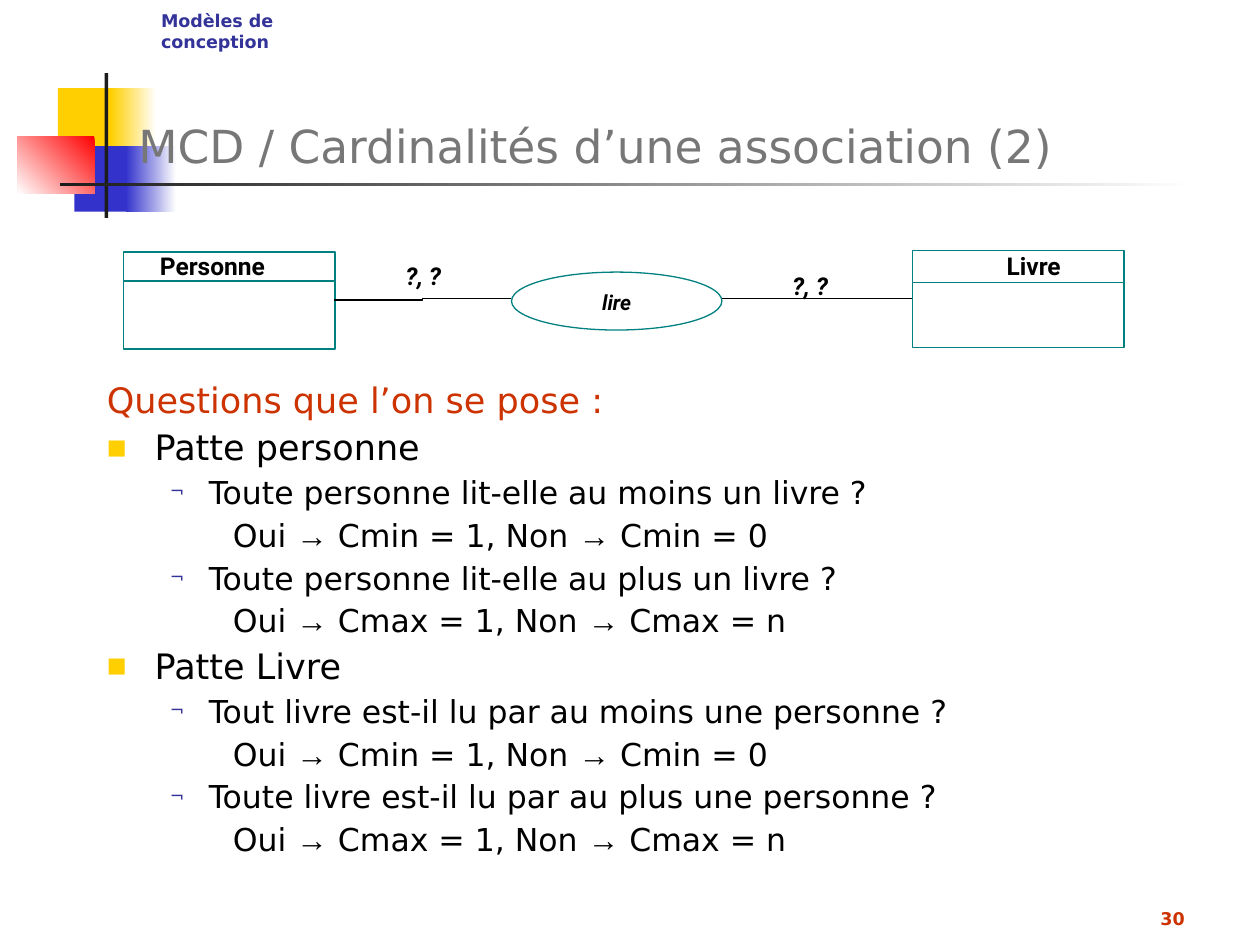
"""Build the slide on the cardinalities of an association in a conceptual data model."""
from lxml import etree
from pptx import Presentation
from pptx.dml.color import RGBColor
from pptx.enum.shapes import MSO_CONNECTOR, MSO_SHAPE
from pptx.enum.text import MSO_ANCHOR, PP_ALIGN
from pptx.oxml.ns import qn
from pptx.util import Inches, Pt

RECT, OVAL = MSO_SHAPE.RECTANGLE, MSO_SHAPE.OVAL
STRAIGHT, ELBOW = MSO_CONNECTOR.STRAIGHT, MSO_CONNECTOR.ELBOW
TOP, MIDDLE, BOTTOM = MSO_ANCHOR.TOP, MSO_ANCHOR.MIDDLE, MSO_ANCHOR.BOTTOM
LEFT, CENTER, RIGHT = PP_ALIGN.LEFT, PP_ALIGN.CENTER, PP_ALIGN.RIGHT
SANS, DIAGRAM, SYMBOL = "DejaVu Sans", "Roboto", "Arial"
BLACK, WHITE, TEAL, NAVY = "000000", "FFFFFF", "008080", "333399"
YELLOW, BLUE, RED, DARK, RUST = "FFCF01", "3333CC", "FF0000", "1C1C1C", "CC3300"

DECOR = [
    ((0.46, 0.7, 0.48, 0.52), [YELLOW], 0),
    ((0.88, 0.7, 0.36, 0.52), [WHITE, YELLOW], 180),
    ((0.59, 1.16, 0.46, 0.52), [BLUE], 0),
    ((1, 1.16, 0.4, 0.52), [WHITE, BLUE], 180),
    ((0.14, 1.08, 0.61, 0.46), [RED, WHITE], 225),
    ((0.83, 0.58, 0.03, 1.15), [DARK], 0),
    ((0.48, 1.45, 9, 0.03), [WHITE, DARK], 180),
]
ENTITIES = [
    ("Personne", (0.98, 2), 2.23, (1.17, 1.92, 1.11, 0.36)),
    ("Livre", (7.24, 1.99), 2.24, (7.89, 1.92, 0.68, 0.36)),
]
ENTITY_WIDTH, ENTITY_HEIGHT = 1.68, 0.77
LEGS = [
    (ELBOW, (4.06, 2.37), (2.65, 2.38)),
    (STRAIGHT, (5.73, 2.37), (7.24, 2.37)),
]
CARDINALITIES = [(3.12, 2.02), (6.19, 2.1)]
MINIMUM = "Oui → Cmin = 1, Non → Cmin = 0"
MAXIMUM = "Oui → Cmax = 1, Non → Cmax = n"
QUESTIONS = [
    ("heading", "Questions que l’on se pose :"),
    ("leg", "Patte personne"),
    ("question", "Toute personne lit-elle au moins un livre ?"),
    ("answer", MINIMUM),
    ("question", "Toute personne lit-elle au plus un livre ?"),
    ("answer", MAXIMUM),
    ("leg", "Patte Livre"),
    ("question", "Tout livre est-il lu par au moins une personne ?"),
    ("answer", MINIMUM),
    ("question", "Toute livre est-il lu par au plus une personne ?"),
    ("answer", MAXIMUM),
]
STYLES = {
    "heading": (0, 20, RUST, 0.38, -0.38, None),
    "leg": (0, 20, BLACK, 0.38, -0.38, ("■", YELLOW, 60)),
    "question": (1, 18, BLACK, 0.81, -0.31, ("¬", NAVY, 55)),
    "answer": (2, 18, BLACK, 1.25, -0.25, None),
}


def color(value):
    return RGBColor.from_string(value)


def inches(values):
    return [Inches(value) for value in values]


def add_run(paragraph, text, size, font, tint, bold=False, italic=False):
    run = paragraph.add_run()
    run.text = text
    run.font.size, run.font.name = Pt(size), font
    run.font.bold, run.font.italic = bold, italic
    run.font.color.rgb = color(tint)


def add_label(box, text, size, font, tint, bold=True, italic=False,
              align=LEFT, anchor=TOP, wrap=True, spacing=1.0):
    label = slide.shapes.add_textbox(*inches(box))
    label.text_frame.word_wrap = wrap
    label.text_frame.vertical_anchor = anchor
    paragraph = label.text_frame.paragraphs[0]
    paragraph.alignment, paragraph.line_spacing = align, spacing
    add_run(paragraph, text, size, font, tint, bold, italic)


def add_outline(kind, box):
    outline = slide.shapes.add_shape(kind, *inches(box))
    outline.shadow.inherit = False
    outline.fill.background()
    outline.line.color.rgb, outline.line.width = color(TEAL), Pt(0.75)
    return outline


def add_decor(box, tints, angle):
    block = slide.shapes.add_shape(RECT, *inches(box))
    block.shadow.inherit = False
    block.line.fill.background()
    if len(tints) == 1:
        block.fill.solid()
        block.fill.fore_color.rgb = color(tints[0])
        return
    block.fill.gradient()
    block.fill.gradient_angle = angle
    for stop, tint in zip(block.fill.gradient_stops, tints):
        stop.color.rgb = color(tint)


def add_line(kind, start, end, tint):
    line = slide.shapes.add_connector(kind, *inches(start + end))
    line.line.color.rgb, line.line.width = color(tint), Pt(0.75)
    etree.SubElement(line._element.spPr, qn("a:effectLst"))


def set_indent(paragraph, margin, indent, bullet):
    properties = paragraph._p.get_or_add_pPr()
    properties.set("marL", str(Inches(margin)))
    properties.set("indent", str(Inches(indent)))
    if bullet is None:
        etree.SubElement(properties, qn("a:buNone"))
        return
    symbol, tint, percent = bullet
    bullet_color = etree.SubElement(properties, qn("a:buClr"))
    etree.SubElement(bullet_color, qn("a:srgbClr"), val=tint)
    etree.SubElement(properties, qn("a:buSzPct"), val=str(percent * 1000))
    etree.SubElement(properties, qn("a:buFont"), typeface=SANS)
    etree.SubElement(properties, qn("a:buChar"), char=symbol)


def add_questions(box):
    frame = slide.shapes.add_textbox(*inches(box)).text_frame
    frame.word_wrap = True
    for index, (style, text) in enumerate(QUESTIONS):
        level, size, tint, margin, indent, bullet = STYLES[style]
        paragraph = frame.add_paragraph() if index else frame.paragraphs[0]
        paragraph.level, paragraph.line_spacing = level, 1.1
        paragraph.space_before = Pt(0.75)
        set_indent(paragraph, margin, indent, bullet)
        for position, part in enumerate(text.split("→")):
            if position:
                add_run(paragraph, "→", size, SYMBOL, tint)
            add_run(paragraph, part, size, SANS, tint)


presentation = Presentation()
presentation.slide_width, presentation.slide_height = Inches(10), Inches(7.5)
slide = presentation.slides.add_slide(presentation.slide_layouts[6])

for decor in DECOR:
    add_decor(*decor)
add_label((1, 0.17, 9.32, 1.25), "MCD / Cardinalités d’une association (2)",
          26, SANS, "777777", bold=False, anchor=BOTTOM)
add_questions((0.75, 2.92, 8.83, 4.25))
add_label((1.18, 0.03, 1.78, 0.27), "Modèles de conception", 10, SANS, NAVY)

for name, (left, top), divider, name_box in ENTITIES:
    add_outline(RECT, (left, top, ENTITY_WIDTH, ENTITY_HEIGHT))
    add_line(STRAIGHT, (left, divider), (left + ENTITY_WIDTH, divider), TEAL)
    add_label(name_box, name, 14, DIAGRAM, BLACK, wrap=False, spacing=1.1)

association = add_outline(OVAL, (4.06, 2.16, 1.67, 0.46)).text_frame
association.vertical_anchor = MIDDLE
verb = association.paragraphs[0]
verb.alignment, verb.line_spacing = CENTER, 1.1
add_run(verb, "lire", 12, DIAGRAM, BLACK, True, True)

for kind, start, end in LEGS:
    add_line(kind, start, end, BLACK)
for corner in CARDINALITIES:
    add_label(corner + (0.48, 0.34), "?, ?", 14, DIAGRAM, BLACK, italic=True, wrap=False)
add_label((7.42, 6.92, 2.08, 0.5), "30", 10, SANS, RUST, align=RIGHT, anchor=BOTTOM)

presentation.save("out.pptx")
